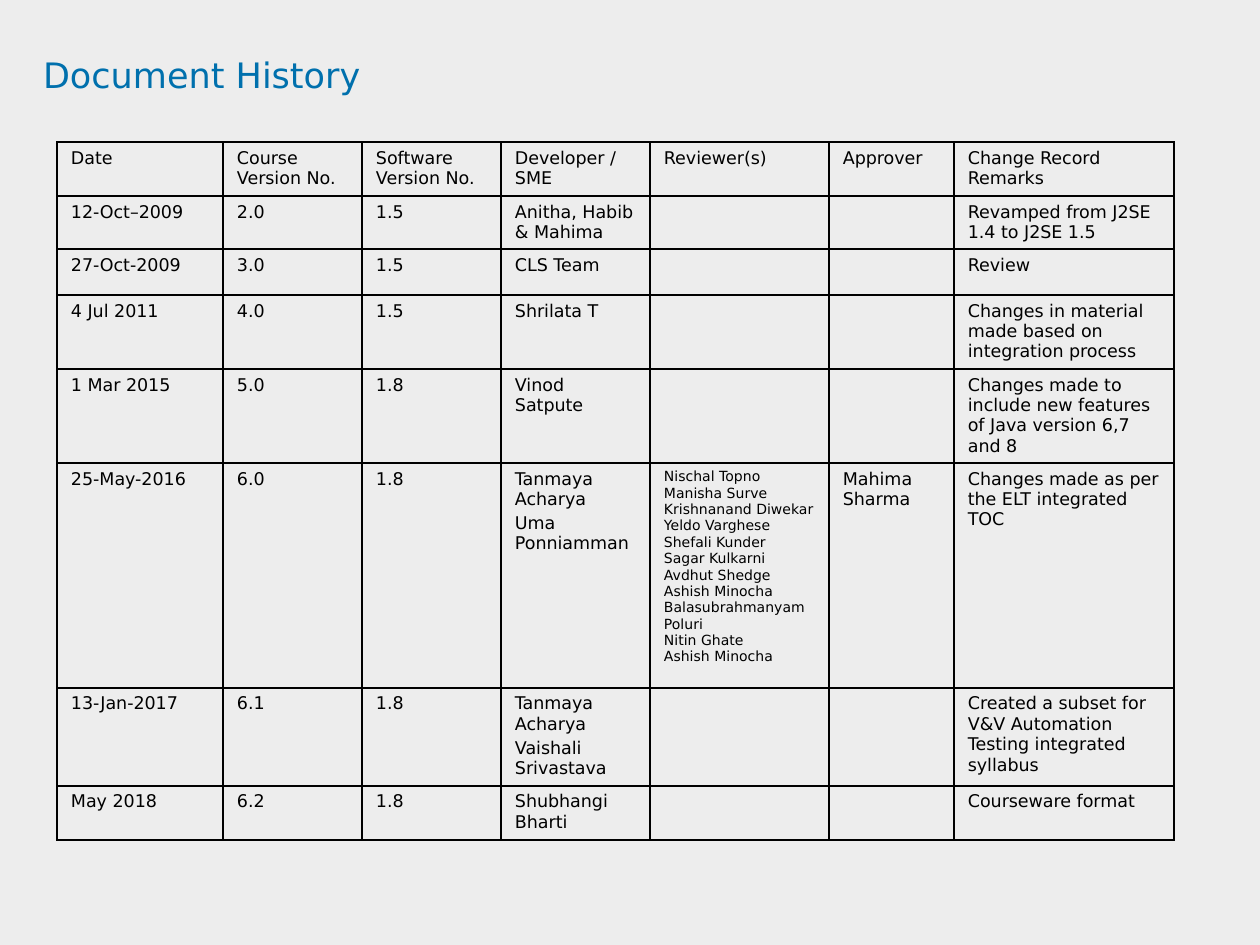
from lxml import etree
from pptx import Presentation
from pptx.dml.color import RGBColor
from pptx.enum.text import MSO_ANCHOR, PP_ALIGN
from pptx.oxml.ns import qn
from pptx.util import Pt

TOP = MSO_ANCHOR.TOP
LEFT = PP_ALIGN.LEFT
TITLE_ONLY = 5
EMU_PER_PX = 914400 / 126
FONT = "DejaVu Sans"
BLACK, BLUE, GREY = "000000", "0070AD", "EDEDED"

COLUMN_WIDTHS = [166, 139, 139, 149, 179, 125, 220]
ROW_HEIGHTS = [54, 53, 46, 74, 94, 225, 98, 54]
REVIEWER_COLUMN = 4
HISTORY = [
    ["Date", "Course Version No.", "Software Version No.", "Developer / SME",
     "Reviewer(s)", "Approver", "Change Record Remarks"],
    ["12-Oct–2009", "2.0", "1.5", "Anitha, Habib & Mahima", "", "",
     "Revamped from J2SE 1.4 to J2SE 1.5"],
    ["27-Oct-2009", "3.0", "1.5", "CLS Team", "", "", "Review"],
    ["4 Jul 2011", "4.0", "1.5", "Shrilata T", "", "",
     "Changes in material made based on integration process"],
    ["1 Mar 2015", "5.0", "1.8", "Vinod Satpute", "", "",
     "Changes made to include new features of Java version 6,7 and 8"],
    ["25-May-2016", "6.0", "1.8", "Tanmaya Acharya\nUma Ponniamman",
     "Nischal Topno\nManisha Surve Krishnanand Diwekar\nYeldo Varghese\n"
     "Shefali Kunder\nSagar Kulkarni\nAvdhut Shedge\nAshish Minocha\n"
     "Balasubrahmanyam Poluri\nNitin Ghate\nAshish Minocha",
     "Mahima Sharma", "Changes made as per the ELT integrated TOC"],
    ["13-Jan-2017", "6.1", "1.8", "Tanmaya Acharya\nVaishali Srivastava", "", "",
     "Created a subset for V&V Automation Testing integrated syllabus"],
    ["May 2018", "6.2", "1.8", "Shubhangi Bharti", "", "", "Courseware format"],
]


def px(length):
    return round(length * EMU_PER_PX)


def color(hex_value):
    return RGBColor.from_string(hex_value)


def apply(target, values):
    for name, value in values.items():
        setattr(target, name, value)


def style_font(font, size, hex_value):
    apply(font, {"name": FONT, "size": Pt(size), "bold": False})
    font.color.rgb = color(hex_value)


def add_title(slide, left, top, width, height):
    title = slide.shapes.title
    apply(title, {"left": px(left), "top": px(top),
                  "width": px(width), "height": px(height)})
    frame = title.text_frame
    apply(frame, {"text": "Document History", "word_wrap": True, "vertical_anchor": TOP,
                  "margin_left": 0, "margin_top": 0,
                  "margin_right": 0, "margin_bottom": 0})
    heading = frame.paragraphs[0]
    apply(heading, {"alignment": LEFT, "line_spacing": 0.9})
    style_font(heading.runs[0].font, 20, BLUE)


def add_borders(cell):
    properties = cell._tc.get_or_add_tcPr()
    for position, side in enumerate(("lnL", "lnR", "lnT", "lnB")):
        line = etree.Element(qn(f"a:{side}"), w=str(Pt(1)))
        fill = etree.SubElement(line, qn("a:solidFill"))
        etree.SubElement(fill, qn("a:srgbClr"), val=BLACK)
        properties.insert(position, line)


def fill_cell(cell, text, size, space_before):
    apply(cell, {"text": text, "vertical_anchor": TOP,
                 "margin_left": px(14), "margin_right": px(14),
                 "margin_top": px(6), "margin_bottom": px(6)})
    cell.fill.background()
    add_borders(cell)
    for index, paragraph in enumerate(cell.text_frame.paragraphs):
        if index:
            paragraph.space_before = Pt(space_before)
        for run in paragraph.runs:
            style_font(run.font, size, BLACK)
        if not paragraph.runs:
            # An empty cell keeps the small size so that its row stays low
            etree.SubElement(paragraph._p, qn("a:endParaRPr"), sz=str(size * 100))


def add_history_table(slide, left, top):
    frame = slide.shapes.add_table(
        len(ROW_HEIGHTS), len(COLUMN_WIDTHS), px(left), px(top),
        px(sum(COLUMN_WIDTHS)), px(sum(ROW_HEIGHTS)))
    table = frame.table
    apply(table, {"first_row": False, "horz_banding": False})
    for column, width in zip(table.columns, COLUMN_WIDTHS):
        column.width = px(width)
    for row, height, entries in zip(table.rows, ROW_HEIGHTS, HISTORY):
        row.height = px(height)
        for index, (cell, text) in enumerate(zip(row.cells, entries)):
            is_name_list = index == REVIEWER_COLUMN and "\n" in text
            size, space_before = (8, 0) if is_name_list else (10, 2)
            fill_cell(cell, text, size, space_before)


def main():
    presentation = Presentation()
    apply(presentation, {"slide_width": px(1260), "slide_height": px(945)})
    slide = presentation.slides.add_slide(presentation.slide_layouts[TITLE_ONLY])
    background = slide.background.fill
    background.solid()
    background.fore_color.rgb = color(GREY)
    add_title(slide, 43, 58, 1145, 118)
    add_history_table(slide, 57, 142)
    presentation.save("out.pptx")


if __name__ == "__main__":
    main()
